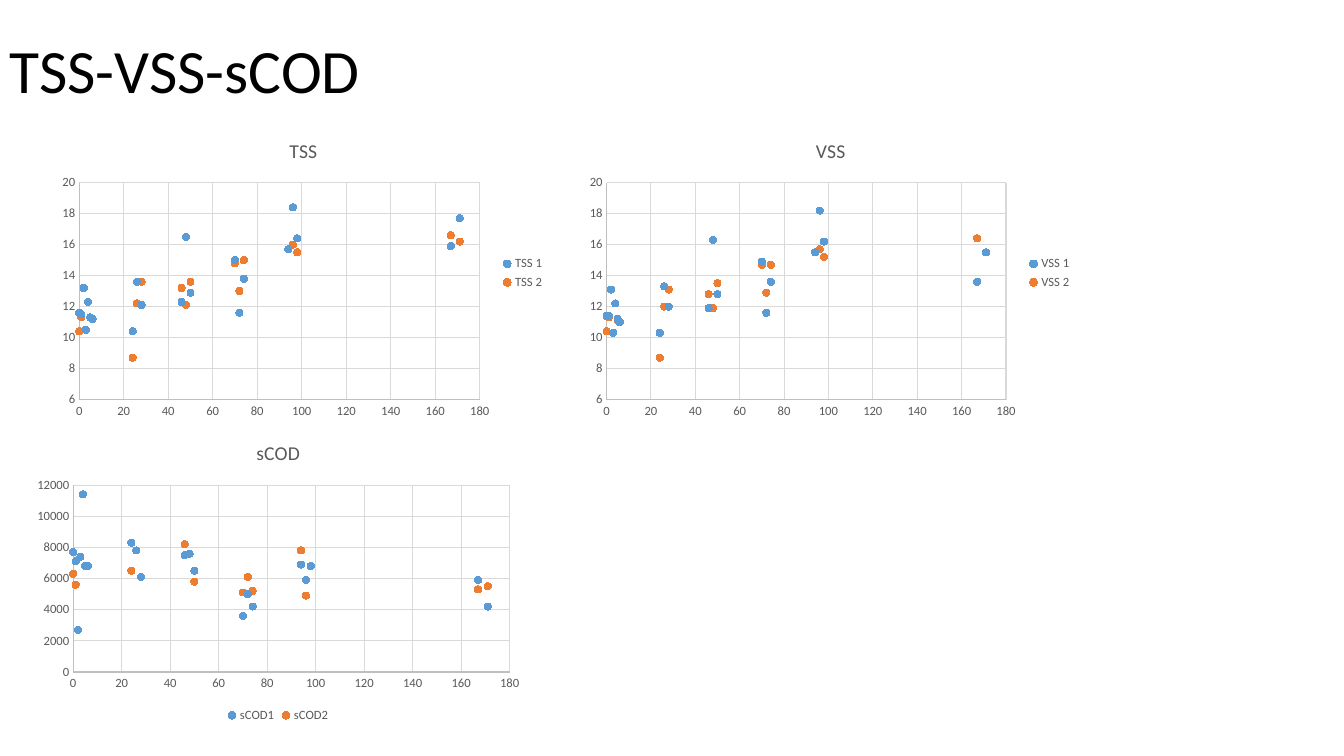
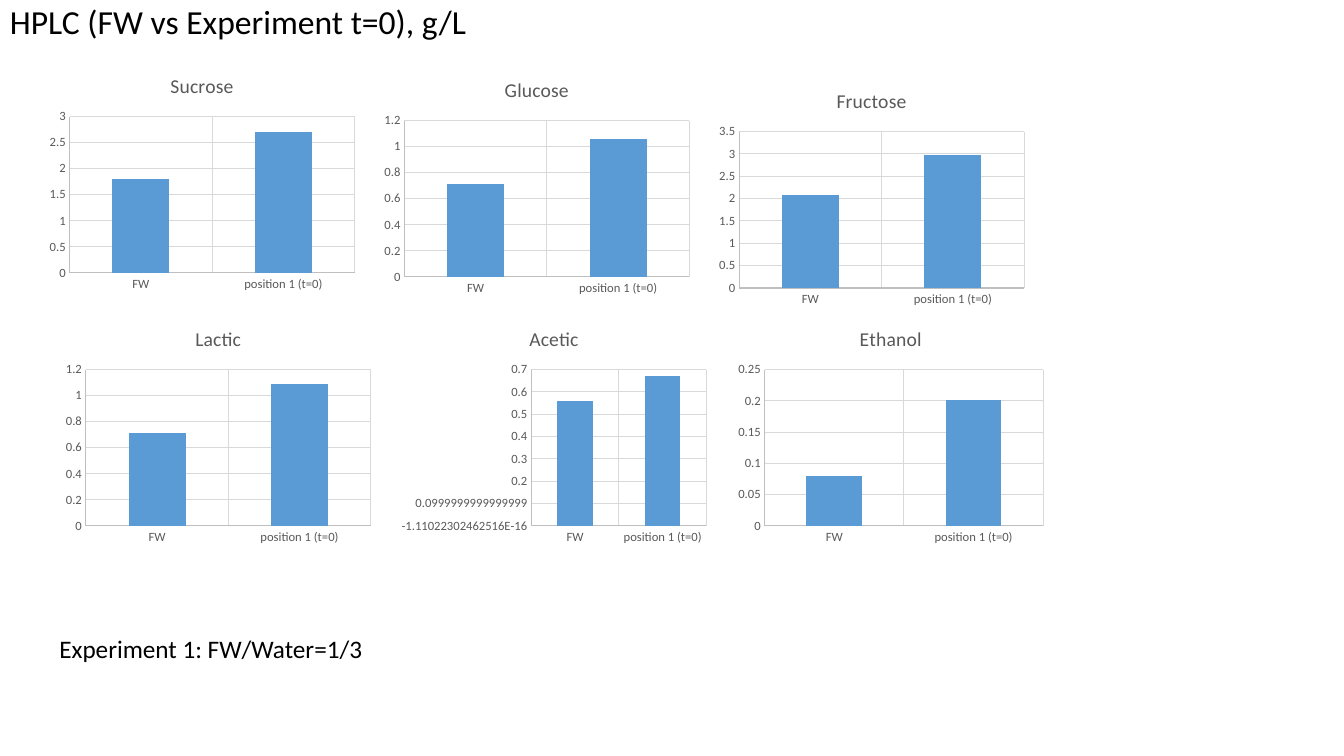
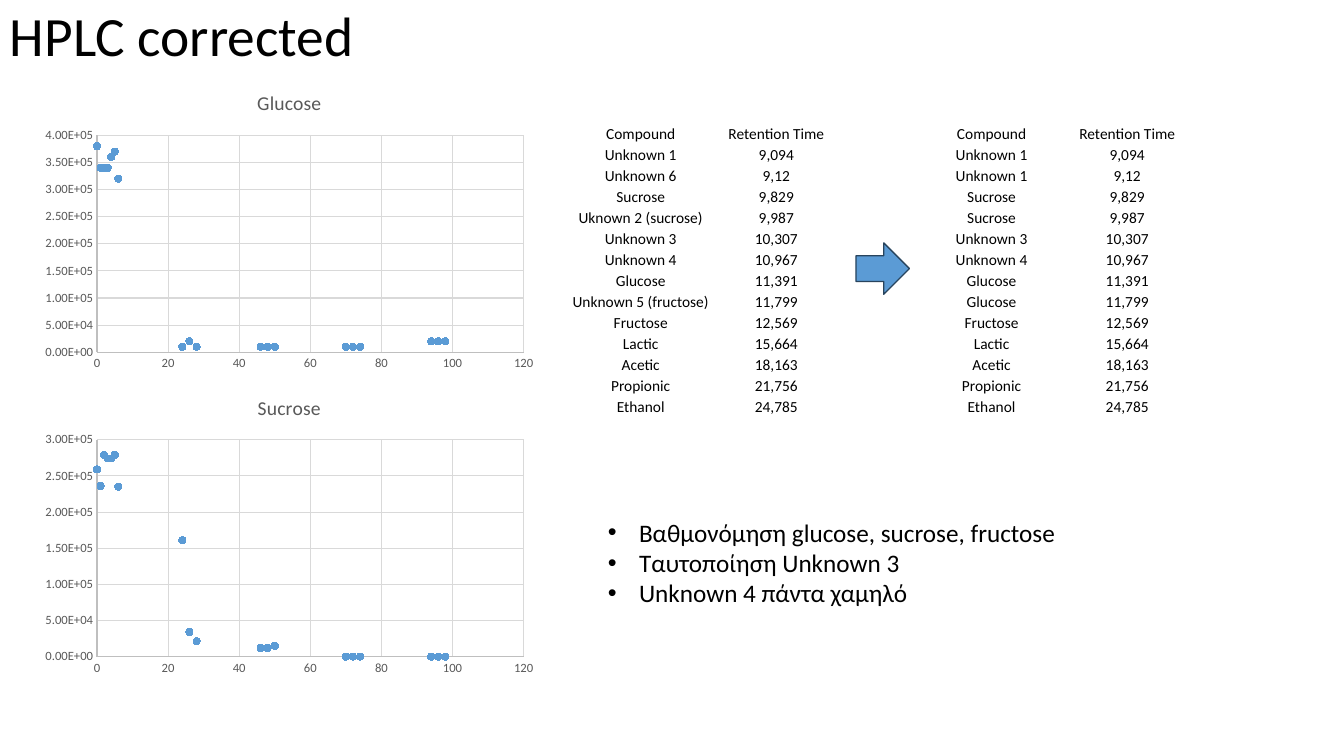
from dataclasses import dataclass

from lxml.etree import SubElement
from pptx import Presentation
from pptx.chart.data import CategoryChartData, XyChartData
from pptx.dml.color import RGBColor
from pptx.enum.chart import XL_CHART_TYPE, XL_LEGEND_POSITION, XL_MARKER_STYLE, XL_TICK_MARK
from pptx.enum.shapes import MSO_SHAPE
from pptx.enum.text import MSO_ANCHOR, PP_ALIGN
from pptx.oxml.ns import qn
from pptx.util import Inches, Pt


@dataclass(frozen=True)
class Theme:
    font: str = "Calibri"
    text: str = "000000"
    muted: str = "595959"
    axis: str = "BFBFBF"
    grid: str = "D9D9D9"
    series: tuple = ("5B9BD5", "ED7D31")
    arrow_line: str = "28445D"
    body: float = 18
    table: float = 11
    chart_title: float = 14
    chart: float = 10
    axis_label: float = 9
    hairline: float = 0.75


theme = Theme()


def style_font(font, size, color):
    for name, value in {"name": theme.font, "size": Pt(size), "bold": False}.items():
        setattr(font, name, value)
    font.color.rgb = RGBColor.from_string(color)


def style_line(line, color, width):
    line.color.rgb = RGBColor.from_string(color)
    line.width = Pt(width)


presentation = Presentation()
presentation.slide_width = Inches(13.33)
presentation.slide_height = Inches(7.5)
solids, sugars, corrected = [
    presentation.slides.add_slide(presentation.slide_layouts[6]) for _ in range(3)
]

title_format = {"anchor": MSO_ANCHOR.MIDDLE, "spacing": 0.9, "bullet": False}
note_format = {"anchor": MSO_ANCHOR.TOP, "spacing": 1.0, "bullet": False}
list_format = note_format | {"bullet": True}
texts = [
    (solids, (0, 0, 11.5, 1.45), 44, title_format, ["TSS-VSS-sCOD"]),
    (sugars, (0, 0, 11.5, 0.47), 24, title_format, ["HPLC (FW vs Experiment t=0), g/L"]),
    (corrected, (0, 0.02, 11.5, 0.72), 39.6, title_format, ["HPLC corrected"]),
    (sugars, (0.49, 6.23, 3.96, 0.4), theme.body, note_format, ["Experiment 1: FW/Water=1/3"]),
    (corrected, (5.93, 5.08, 5.41, 1.01), theme.body, list_format, [
        "Βαθμονόμηση glucose, sucrose, fructose",
        "Ταυτοποίηση Unknown 3",
        "Unknown 4 πάντα χαμηλό",
    ]),
]
for slide, box, size, text_format, lines in texts:
    frame = slide.shapes.add_textbox(*map(Inches, box)).text_frame
    frame.word_wrap = True
    frame.vertical_anchor = text_format["anchor"]
    for index, line in enumerate(lines):
        paragraph = frame.add_paragraph() if index else frame.paragraphs[0]
        paragraph.line_spacing = text_format["spacing"]
        run = paragraph.add_run()
        run.text = line
        style_font(run.font, size, theme.text)
        if text_format["bullet"]:
            properties = paragraph._p.get_or_add_pPr()
            properties.set("marL", str(Inches(0.31)))
            properties.set("indent", str(-Inches(0.31)))
            SubElement(properties, qn("a:buFont")).set("typeface", "Arial")
            SubElement(properties, qn("a:buChar")).set("char", "•")

hours = [0, 1, 2, 3, 4, 5, 6, 24, 26, 28, 46, 48, 50, 70, 72, 74, 94, 96, 98, 167, 171]
samples = ["FW", "position 1 (t=0)"]
right, bottom = XL_LEGEND_POSITION.RIGHT, XL_LEGEND_POSITION.BOTTOM
scatter_size, sugar_size, column_size = (4.98, 3), (5.04, 3), (3.15, 2.36)

charts = [
    (solids, (0.52, 1.21, *scatter_size), "TSS", {"legend": right, "minimum": 6}, {
        "TSS 1": [11.6, 11.5, 13.2, 10.5, 12.3, 11.3, 11.2, 10.4, 13.6, 12.1, 12.3,
                  16.5, 12.9, 15, 11.6, 13.8, 15.7, 18.4, 16.4, 15.9, 17.7],
        "TSS 2": [10.4, 11.3, None, None, None, 11.3, None, 8.7, 12.2, 13.6, 13.2,
                  12.1, 13.6, 14.8, 13, 15, 15.7, 16, 15.5, 16.6, 16.2],
    }),
    (solids, (5.75, 1.21, *scatter_size), "VSS", {"legend": right, "minimum": 6}, {
        "VSS 1": [11.4, 11.4, 13.1, 10.3, 12.2, 11.2, 11, 10.3, 13.3, 12, 11.9,
                  16.3, 12.8, 14.9, 11.6, 13.6, 15.5, 18.2, 16.2, 13.6, 15.5],
        "VSS 2": [10.4, 11.3, None, None, None, 11.1, None, 8.7, 12, 13.1, 12.8,
                  11.9, 13.5, 14.7, 12.9, 14.7, 15.5, 15.7, 15.2, 16.4, 15.5],
    }),
    (solids, (0.27, 4.21, *scatter_size), "sCOD", {"legend": bottom}, {
        "sCOD1": [7700, 7100, 2700, 7400, 11400, 6800, 6800, 8300, 7800, 6100, 7500,
                  7600, 6500, 3600, 5000, 4200, 6900, 5900, 6800, 5900, 4200],
        "sCOD2": [6300, 5600, None, None, None, 6800, None, 6500, None, None, 8200,
                  7600, 5800, 5100, 6100, 5200, 7800, 4900, None, 5300, 5500],
    }),
    (corrected, (0.35, 3.76, *sugar_size), "Sucrose", {"number_format": "0.00E+00"}, {
        "Sucrose": [259000, 236000, 279000, 274000, 274000, 279000, 235000, 161000, 34000,
                    21000, 12000, 12000, 15000, 0, 0, 0, 0, 0, 0],
    }),
    (corrected, (0.35, 0.74, *sugar_size), "Glucose", {"number_format": "0.00E+00"}, {
        "Glucose": [380000, 340000, 340000, 340000, 360000, 370000, 320000, 10000, 20000,
                    10000, 10000, 10000, 10000, 10000, 10000, 10000, 20000, 20000, 20000],
    }),
]
for left, top, compound, maximum, values in [
    (3.75, 0.62, "Glucose", None, [0.71, 1.06]),
    (0.43, 0.58, "Sucrose", None, [1.8, 2.7]),
    (7.07, 0.73, "Fructose", None, [2.07, 2.98]),
    (0.59, 3.09, "Lactic", None, [0.71, 1.09]),
    (3.92, 3.09, "Acetic", 0.7, [0.56, 0.67]),
    (7.26, 3.09, "Ethanol", None, [0.079, 0.202]),
]:
    box = (left, top, *column_size)
    options = {"columns": True, "maximum": maximum}
    charts.append((sugars, box, compound, options, {compound: values}))

for slide, box, title, options, series_values in charts:
    columns = options.get("columns", False)
    if columns:
        chart_type = XL_CHART_TYPE.COLUMN_CLUSTERED
        data = CategoryChartData()
        data.categories = samples
        for name, values in series_values.items():
            data.add_series(name, values)
    else:
        chart_type = XL_CHART_TYPE.XY_SCATTER
        data = XyChartData()
        for name, values in series_values.items():
            points = data.add_series(name)
            for hour, value in zip(hours, values):
                points.add_data_point(hour, value)
    chart = slide.shapes.add_chart(chart_type, *map(Inches, box), data).chart
    for missing in chart._chartSpace.xpath('.//c:yVal//c:pt[c:v="None"]'):
        missing.getparent().remove(missing)
    style_font(chart.font, theme.chart, theme.text)
    chart.has_title = True
    chart.chart_title.text_frame.text = title
    title_run = chart.chart_title.text_frame.paragraphs[0].runs[0]
    style_font(title_run.font, theme.chart_title, theme.muted)

    chart.has_legend = "legend" in options
    if chart.has_legend:
        chart.legend.position = options["legend"]
        chart.legend.include_in_layout = False
        style_font(chart.legend.font, theme.axis_label, theme.muted)

    for axis in (chart.category_axis, chart.value_axis):
        axis_format = {
            "has_major_gridlines": True,
            "major_tick_mark": XL_TICK_MARK.NONE,
            "minor_tick_mark": XL_TICK_MARK.NONE,
        }
        for name, value in axis_format.items():
            setattr(axis, name, value)
        style_font(axis.tick_labels.font, theme.axis_label, theme.muted)
        style_line(axis.format.line, theme.axis, theme.hairline)
        style_line(axis.major_gridlines.format.line, theme.grid, theme.hairline)
    chart.value_axis.minimum_scale = options.get("minimum")
    chart.value_axis.maximum_scale = options.get("maximum")
    chart.value_axis.tick_labels.number_format = options.get("number_format", "General")
    chart.value_axis.tick_labels.number_format_is_linked = False

    plot = chart.plots[0]
    plot.vary_by_categories = False
    if columns:
        plot.gap_width = 150
    for series, color in zip(plot.series, theme.series):
        target = series
        if not columns:
            series.format.line.fill.background()
            target = series.marker
            target.style = XL_MARKER_STYLE.CIRCLE
            target.size = 5
            style_line(target.format.line, color, theme.hairline)
        target.format.fill.solid()
        target.format.fill.fore_color.rgb = RGBColor.from_string(color)

retention_times = ["9,094", "9,12", "9,829", "9,987", "10,307", "10,967", "11,391",
                   "11,799", "12,569", "15,664", "18,163", "21,756", "24,785"]
detected = ["Unknown 1", "Unknown 6", "Sucrose", "Uknown 2 (sucrose)", "Unknown 3",
            "Unknown 4", "Glucose", "Unknown 5 (fructose)", "Fructose", "Lactic",
            "Acetic", "Propionic", "Ethanol"]
corrections = {"Unknown 6": "Unknown 1", "Uknown 2 (sucrose)": "Sucrose",
               "Unknown 5 (fructose)": "Glucose"}
identified = [corrections.get(compound, compound) for compound in detected]
table_height, header_height = Inches(2.95), Inches(0.24)
row_height = (table_height - header_height) // len(detected)
cell_format = {
    "margin_left": Inches(0.01),
    "margin_right": Inches(0.01),
    "margin_top": Inches(0.01),
    "margin_bottom": 0,
    "vertical_anchor": MSO_ANCHOR.BOTTOM,
}
for left, compounds in [(9.03, identified), (5.55, detected)]:
    rows = [("Compound", "Retention Time"), *zip(compounds, retention_times)]
    table = corrected.shapes.add_table(
        len(rows), 2, Inches(left), Inches(1.19), Inches(2.69), table_height
    ).table
    table.first_row = False
    table.horz_banding = False
    for column, width in zip(table.columns, (1.61, 1.08)):
        column.width = Inches(width)
    for row_index, row in enumerate(rows):
        table.rows[row_index].height = row_height if row_index else header_height
        for column_index, text in enumerate(row):
            cell = table.cell(row_index, column_index)
            cell.fill.background()
            for name, value in cell_format.items():
                setattr(cell, name, value)
            paragraph = cell.text_frame.paragraphs[0]
            paragraph.alignment = PP_ALIGN.CENTER
            run = paragraph.add_run()
            run.text = text
            style_font(run.font, theme.table, theme.text)

arrow = corrected.shapes.add_shape(
    MSO_SHAPE.RIGHT_ARROW, Inches(8.49), Inches(2.41), Inches(0.53), Inches(0.51)
)
arrow.shadow.inherit = False
arrow.fill.solid()
arrow.fill.fore_color.rgb = RGBColor.from_string(theme.series[0])
style_line(arrow.line, theme.arrow_line, 1)

presentation.save("out.pptx")
